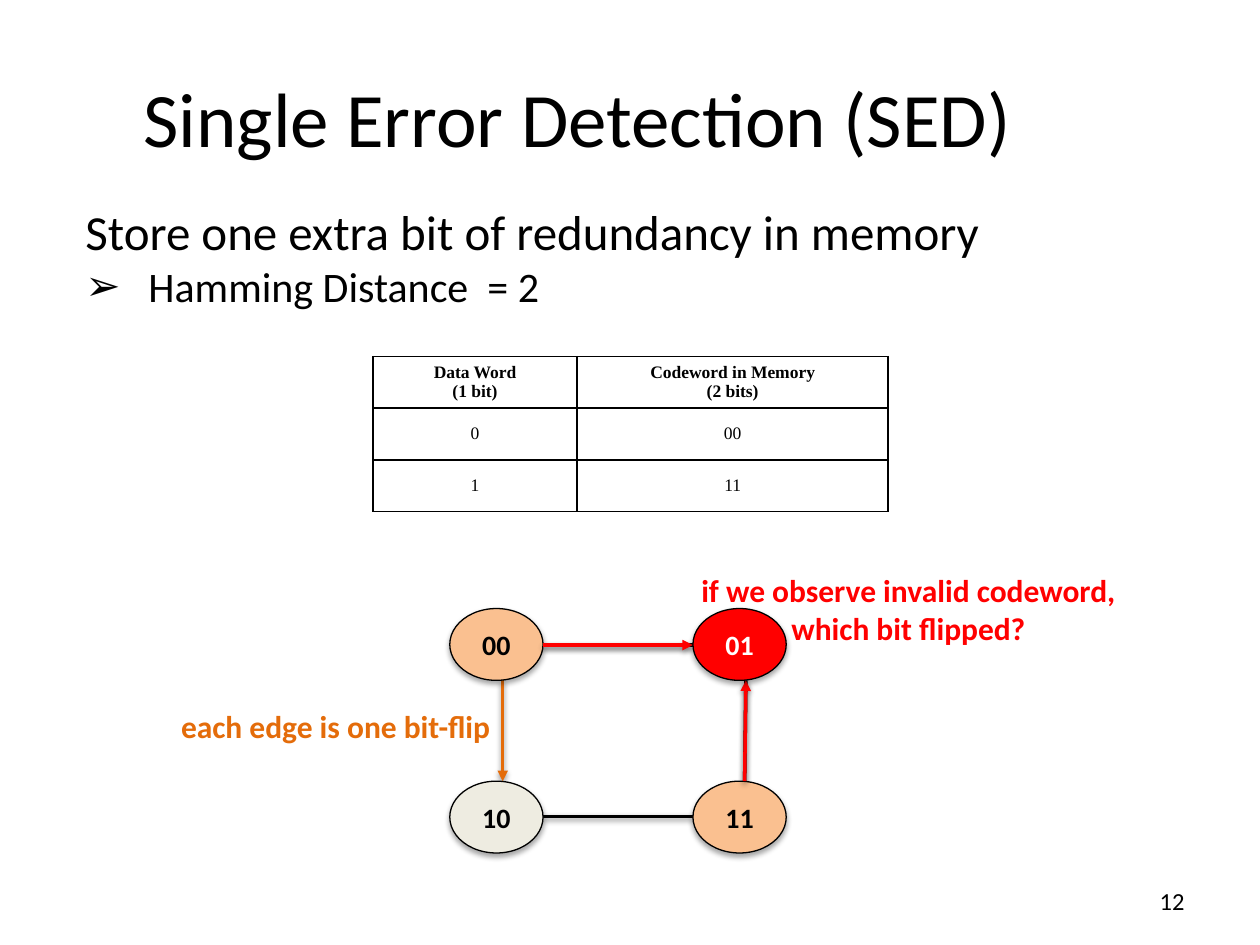
from lxml import etree
from pptx import Presentation
from pptx.dml.color import RGBColor
from pptx.enum.shapes import MSO_CONNECTOR, MSO_SHAPE
from pptx.enum.text import MSO_ANCHOR, PP_ALIGN
from pptx.oxml.ns import qn
from pptx.util import Pt

PX = 9144  # 100 px to the inch
LEFT, MID, RIGHT = PP_ALIGN.LEFT, PP_ALIGN.CENTER, PP_ALIGN.RIGHT
TOP, CENTRE = MSO_ANCHOR.TOP, MSO_ANCHOR.MIDDLE
OVAL, LINE = MSO_SHAPE.OVAL, MSO_CONNECTOR.STRAIGHT

BLACK, WHITE, RED = "000000", "FFFFFF", "FF0000"
ORANGE, PEACH, CREAM = "E46C0A", "FAC090", "EEECE1"


def px(*nums):
    return [n * PX for n in nums]


def tint(code):
    return RGBColor.from_string(code)


def sub(node, tag, **attrs):
    return etree.SubElement(node, qn(tag), {k: str(v) for k, v in attrs.items()})


def write(para, text, size=18, color=BLACK, bold=False, align=LEFT,
          font="Calibri", bullet=None, indent=0):
    para.text = text
    para.alignment = align
    if bullet:
        props = para._p.get_or_add_pPr()
        props.set("marL", str(indent * PX))
        props.set("indent", str(-indent * PX))
        sub(props, "a:buFont", typeface="Arial")
        sub(props, "a:buChar", char=bullet)
    para.space_before = Pt(0)
    for run in para.runs:
        run.font.name, run.font.size, run.font.bold = font, Pt(size), bold
        run.font.color.rgb = tint(color)


def shade(props, dist, alpha):
    glow = props.find(qn("a:effectLst"))
    if glow is None:
        glow = sub(props, "a:effectLst")
    cast = sub(glow, "a:outerShdw", blurRad=40000, dist=dist,
               dir=5400000, rotWithShape=0)
    sub(sub(cast, "a:srgbClr", val=BLACK), "a:alpha", val=alpha * 1000)


class Deck:
    def __init__(self):
        self.prs = Presentation()
        self.prs.slide_width, self.prs.slide_height = px(1000, 750)
        self.slide = self.prs.slides.add_slide(self.prs.slide_layouts[5])
        self.shapes = self.slide.shapes

    def title(self, text, box):
        head = self.shapes.title
        head.left, head.top, head.width, head.height = px(*box)
        head.text_frame.vertical_anchor = CENTRE
        write(head.text_frame.paragraphs[0], text, size=44, align=MID)

    def text(self, box, *items, anchor=CENTRE, side=10):
        frame = self.shapes.add_textbox(*px(*box)).text_frame
        frame.word_wrap = True
        frame.vertical_anchor = anchor
        frame.margin_left = frame.margin_right = side * PX
        for i, (words, style) in enumerate(items):
            para = frame.add_paragraph() if i else frame.paragraphs[0]
            write(para, words, **style)

    def label(self, box, words, color):
        self.text(box, (words, dict(color=color, bold=True, align=MID)), side=5)

    def node(self, left, top, words, fill, color=BLACK):
        oval = self.shapes.add_shape(OVAL, *px(left, top, 74, 57))
        oval.fill.solid()
        oval.fill.fore_color.rgb = tint(fill)
        oval.line.color.rgb = tint(BLACK)
        oval.line.width = Pt(0.75)
        oval.shadow.inherit = False
        shade(oval._element.spPr, 23000, 35)
        frame = oval.text_frame
        frame.vertical_anchor = CENTRE
        write(frame.paragraphs[0], words, size=16, color=color, bold=True, align=MID)

    def edge(self, start, end, color=BLACK, arrow=False):
        link = self.shapes.add_connector(LINE, *px(*start, *end))
        link.line.color.rgb = tint(color)
        link.line.width = Pt(2)
        props = link._element.spPr
        if arrow:
            sub(props.find(qn("a:ln")), "a:tailEnd", type="triangle")
        shade(props, 20000, 38)

    def table(self, left, top, cols, row, data):
        size = px(left, top, sum(cols), row * len(data))
        grid = self.shapes.add_table(len(data), len(cols), *size).table
        for col, wide in zip(grid.columns, cols):
            col.width = wide * PX
        for r, line in enumerate(data):
            grid.rows[r].height = row * PX
            for c, words in enumerate(line):
                self.cell(grid.cell(r, c), words, bold=r == 0)

    def cell(self, cell, words, bold):
        cell.margin_top = cell.margin_bottom = 3 * PX
        cell.vertical_anchor = CENTRE
        props = cell._tc.get_or_add_tcPr()
        for side in "LRTB":
            edge = sub(props, f"a:ln{side}", w=Pt(1))
            sub(sub(edge, "a:solidFill"), "a:srgbClr", val=BLACK)
        cell.fill.background()
        frame = cell.text_frame
        for i, part in enumerate(words.split("\n")):
            para = frame.add_paragraph() if i else frame.paragraphs[0]
            write(para, part, size=10, bold=bold, align=MID, font="Times New Roman")


def main():
    deck = Deck()

    # Heading, page number and code table
    deck.title("Single Error Detection (SED)", (50, 30, 817, 125))
    deck.text((833, 695, 117, 40), ("12", dict(size=14, align=RIGHT)))
    deck.table(296, 283, (162, 247), 41, [
        ("Data Word\n(1 bit)", "Codeword in Memory\n(2 bits)"),
        ("0", "00"),
        ("1", "11"),
    ])

    # Main points
    deck.text((58, 155, 901, 112),
              ("Store one extra bit of redundancy in memory", dict(size=28)),
              ("Hamming Distance  = 2", dict(size=24, bullet="➢", indent=50)),
              anchor=TOP)

    # Square of codewords: plain edges, then nodes and flips
    west, east, north, south = 357, 550, 483, 620
    near, upper, lower = west + 74, north + 29, south + 28
    base = north + 57
    deck.edge((near, upper), (east, upper))
    deck.edge((near, lower), (east, lower))
    deck.edge((399, base), (399, south), ORANGE, arrow=True)
    deck.edge((592, base), (591, south))
    deck.node(west, south, "10", CREAM)
    deck.node(east, south, "11", PEACH)
    deck.node(west, north, "00", PEACH)
    deck.label((133, 548, 267, 57), "each edge is one bit-flip", ORANGE)
    deck.edge((near, upper), (east, upper), RED, arrow=True)
    deck.edge((591, south), (592, base), RED, arrow=True)
    deck.node(east, north, "01", RED, WHITE)
    deck.label((542, 458, 358, 50),
               "if we observe invalid codeword, which bit flipped?", RED)

    deck.prs.save("out.pptx")


if __name__ == "__main__":
    main()
